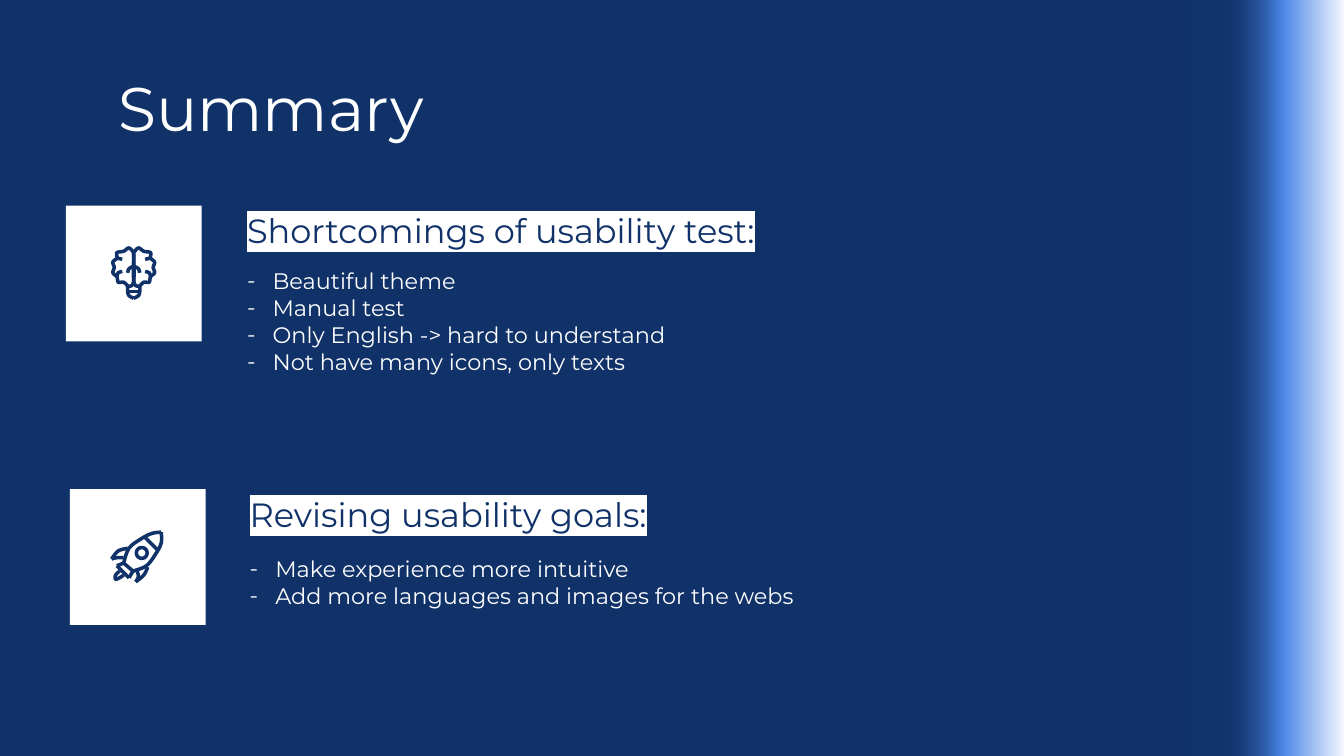
import math

from lxml import etree
from pptx import Presentation
from pptx.dml.color import RGBColor
from pptx.enum import shapes, text
from pptx.oxml import ns
from pptx.util import Inches, Pt

COLORS = {"navy": "103269", "deep": "1C4587", "sky": "4A86E8", "white": "FFFFFF"}
FONT = "Montserrat"
MIDDLE = 0.995  # axis of symmetry of the brain icon

BRAIN_HALF = [
    [(0.995, 1.88), (0.96, 1.845), (0.92, 1.87), (0.87, 1.88), (0.87, 1.92),
     (0.84, 1.95), (0.85, 1.99), (0.84, 2.03), (0.87, 2.06), (0.88, 2.1),
     (0.92, 2.1), (0.96, 2.13), (0.995, 2.09), (0.995, 1.88)],
    [(0.87, 1.92), (0.91, 1.93)],
    [(0.87, 2.06), (0.88, 2.03), (0.91, 2.02)],
    [(0.95, 2.03), (0.96, 2), (0.995, 1.98)],
    [(0.95, 2.13), (0.95, 2.17), (0.96, 2.2), (0.995, 2.22)],
    [(0.95, 2.17), (0.995, 2.17)],
]
BRAIN = BRAIN_HALF + [[(2 * MIDDLE - x, y) for x, y in stroke] for stroke in BRAIN_HALF]

WINDOW = [(1.055 + 0.04 * math.cos(step * math.pi / 8),
           4.115 + 0.04 * math.sin(step * math.pi / 8)) for step in range(17)]
ROCKET = [
    [(0.92, 4.19), (0.96, 4.08), (1.05, 4.01), (1.13, 3.97), (1.2, 3.96)],
    [(0.99, 4.25), (1.09, 4.21), (1.16, 4.12), (1.2, 4.04), (1.2, 3.96)],
    [(0.92, 4.19), (0.99, 4.25)],
    [(1.08, 4), (1.17, 4.09)],
    [(0.95, 4.08), (0.88, 4.1), (0.83, 4.16)],
    [(0.83, 4.16), (0.87, 4.15), (0.92, 4.15)],
    [(1.1, 4.22), (1.07, 4.28), (1.01, 4.33)],
    [(1.01, 4.33), (1.03, 4.29), (1.02, 4.25)],
    [(0.92, 4.19), (0.87, 4.21)],
    [(0.87, 4.21), (0.96, 4.3)],
    [(0.96, 4.3), (0.99, 4.25)],
    [(0.89, 4.25), (0.86, 4.28), (0.86, 4.31), (0.89, 4.3), (0.92, 4.28)],
    WINDOW,
]


def smooth(points, steps=5):
    """Return points along a Catmull-Rom curve through the given ones."""
    padded = [points[0], *points, points[-1]]
    curve = [points[0]]
    for before, start, end, after in zip(padded, padded[1:], padded[2:], padded[3:]):
        for step in range(1, steps + 1):
            t = step / steps
            curve.append(tuple(
                0.5 * (2 * b + (c - a) * t + (2 * a - 5 * b + 4 * c - d) * t ** 2
                       + (3 * b - a - 3 * c + d) * t ** 3)
                for a, b, c, d in zip(before, start, end, after)))
    return [(Inches(x), Inches(y)) for x, y in curve]


def add_node(parent, tag, **attributes):
    return etree.SubElement(parent, ns.qn(tag), attributes)


class Slide:
    """Holds the style and the page being filled."""

    def __init__(self, deck):
        self.page = deck.slides.add_slide(deck.slide_layouts[5])
        fill = self.page.background.fill
        fill.solid()
        fill.fore_color.rgb = self.color("navy")

    def color(self, name):
        return RGBColor.from_string(COLORS[name])

    def rectangle(self, left, top, width, height, color="white"):
        box = self.page.shapes.add_shape(
            shapes.MSO_SHAPE.RECTANGLE, *map(Inches, (left, top, width, height)))
        box.shadow.inherit = False
        box.fill.solid()
        box.fill.fore_color.rgb = self.color(color)
        box.line.fill.background()
        return box

    def gradient_band(self, left, top, width, height, stops):
        """Add a quarter-turned band; stops are (percent, color, opacity percent)."""
        band = self.rectangle(left, top, width, height)
        band.rotation = 90
        band.fill.gradient()
        gradient = band.fill._xPr.find(ns.qn("a:gradFill"))
        for child in list(gradient):
            gradient.remove(child)
        stop_list = add_node(gradient, "a:gsLst")
        for position, color, opacity in stops:
            stop = add_node(stop_list, "a:gs", pos=str(position * 1000))
            value = add_node(stop, "a:srgbClr", val=COLORS[color])
            add_node(value, "a:alpha", val=str(opacity * 1000))
        add_node(gradient, "a:lin", ang="16200000", scaled="0")

    def icon(self, strokes):
        first, *others = map(smooth, strokes)
        builder = self.page.shapes.build_freeform(*first[0])
        builder.add_line_segments(first[1:], close=False)
        for stroke in others:
            builder.move_to(*stroke[0])
            builder.add_line_segments(stroke[1:], close=False)
        drawing = builder.convert_to_shape()
        drawing.shadow.inherit = False
        drawing.fill.background()
        drawing.line.color.rgb = self.color("navy")
        drawing.line.width = Pt(1.9)

    def frame(self, box, left, top, width, height, bottom=0.1):
        box.left, box.top, box.width, box.height = map(Inches, (left, top, width, height))
        frame = box.text_frame
        frame.word_wrap = True
        frame.auto_size = text.MSO_AUTO_SIZE.NONE
        frame.vertical_anchor = text.MSO_ANCHOR.MIDDLE
        frame.margin_left = frame.margin_right = frame.margin_top = Inches(0.1)
        frame.margin_bottom = Inches(bottom)
        return frame

    def text_box(self, left, top, width, height, bottom=0.1):
        box = self.page.shapes.add_textbox(0, 0, 0, 0)
        return self.frame(box, left, top, width, height, bottom)

    def span(self, para, words, size, color="white"):
        para.alignment = text.PP_ALIGN.LEFT
        span = para.add_run()
        span.text = words
        span.font.size = Pt(size)
        span.font.color.rgb = self.color(color)
        span.font.name = FONT
        return span

    def title(self, words):
        frame = self.frame(self.page.shapes.title, 0.78, 0.35, 8.44, 0.89)
        self.span(frame.paragraphs[0], words, 33)

    def heading(self, left, top, words):
        frame = self.text_box(left, top, 6.16, 0.37)
        span = self.span(frame.paragraphs[0], words, 18, "navy")
        highlight = etree.Element(ns.qn("a:highlight"))
        add_node(highlight, "a:srgbClr", val=COLORS["white"])
        span.font._element.find(ns.qn("a:solidFill")).addnext(highlight)

    def bullets(self, left, top, items, bottom):
        frame = self.text_box(left, top, 6.16, 0.64, bottom)
        for index, item in enumerate(items):
            para = frame.add_paragraph() if index else frame.paragraphs[0]
            properties = para._p.get_or_add_pPr()
            properties.set("marL", str(Inches(0.19)))
            properties.set("indent", str(-Inches(0.19)))
            bullet_color = add_node(properties, "a:buClr")
            add_node(bullet_color, "a:srgbClr", val=COLORS["white"])
            add_node(properties, "a:buFont", typeface=FONT)
            add_node(properties, "a:buChar", char="-")
            self.span(para, item, 12)


def main():
    deck = Presentation()
    deck.slide_width = Inches(10)
    deck.slide_height = deck.slide_width * 9 // 16
    slide = Slide(deck)
    slide.gradient_band(6.54, 2.16, 5.65, 1.3, [
        (0, "deep", 0), (32, "deep", 15), (63, "sky", 100), (100, "white", 100)])
    slide.title("Summary")

    # icon, tile left, text left, top, list top, list bottom inset, heading, items
    sections = [
        (BRAIN, 0.49, 1.74, 1.53, 2.17, 0.3, "Shortcomings of usability test:",
         ["Beautiful theme", "Manual test", "Only English -> hard to understand",
          "Not have many icons, only texts"]),
        (ROCKET, 0.52, 1.76, 3.64, 4.01, 0.1, "Revising usability goals:",
         ["Make experience more intuitive",
          "Add more languages and images for the webs"]),
    ]
    for icon, tile_left, left, top, list_top, bottom, heading, items in sections:
        slide.rectangle(tile_left, top, 1.01, 1.01)
        slide.icon(icon)
        slide.heading(left, top, heading)
        slide.bullets(left, list_top, items, bottom)
    deck.save("out.pptx")


if __name__ == "__main__":
    main()
